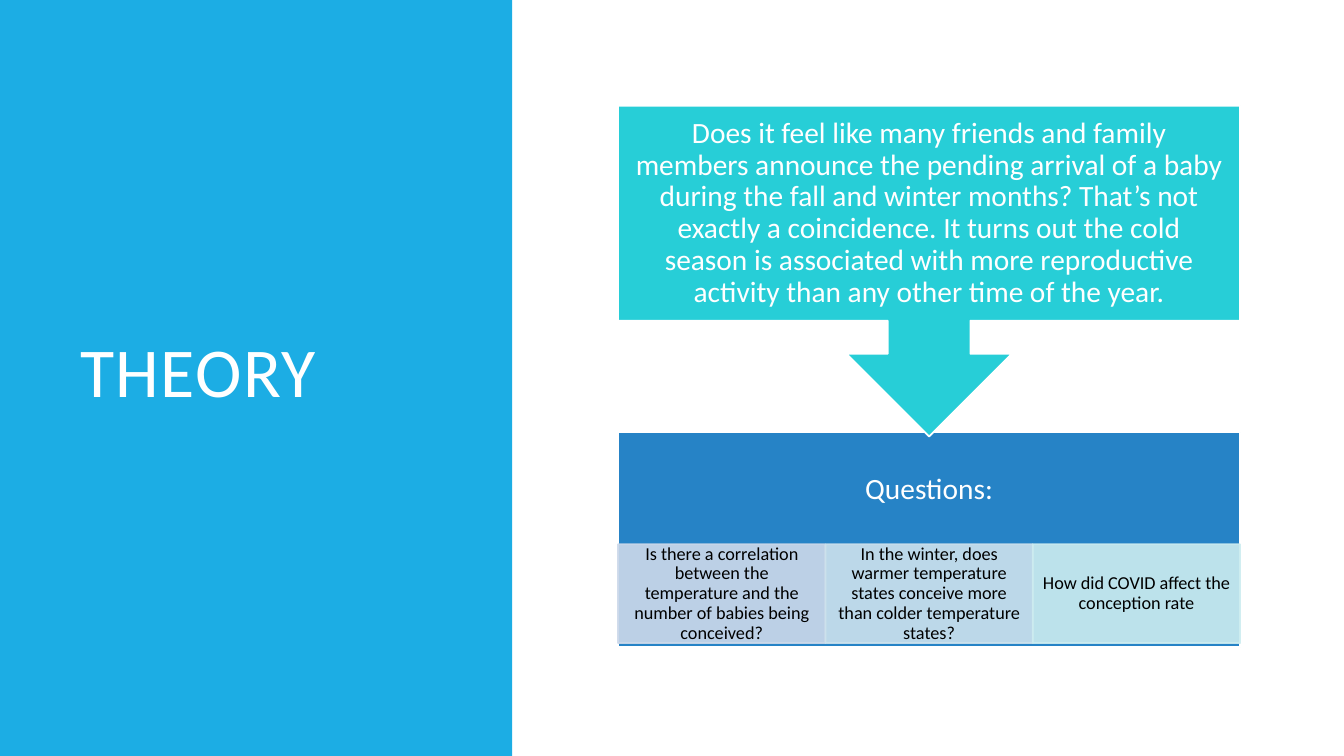
from lxml import etree
from pptx import Presentation
from pptx.dml.color import RGBColor
from pptx.enum.shapes import MSO_SHAPE as SHAPE
from pptx.enum.text import MSO_ANCHOR as ANCHOR, PP_ALIGN as ALIGN
from pptx.oxml.ns import qn
from pptx.util import Inches, Pt

FONT = "Calibri"
COLORS = {
    "panel": "1CADE4",
    "callout": "27CED7",
    "questions": "2683C6",
    "white": "FFFFFF",
    "black": "000000",
}
CALLOUT = (
    "Does it feel like many friends and family members announce the pending "
    "arrival of a baby during the fall and winter months? That’s not exactly a "
    "coincidence. It turns out the cold season is associated with more "
    "reproductive activity than any other time of the year."
)
QUESTIONS = [
    ("Is there a correlation between the temperature and the number of babies "
     "being conceived?", "CDD9EA"),
    ("In the winter, does warmer temperature states conceive more than colder "
     "temperature states?", "CDE2ED"),
    ("How did COVID affect the conception rate", "CDEDF0"),
]


def rgb(color):
    return RGBColor.from_string(color)


def add_block(s, kind, box, fill, line=None, opacity=100):
    sp = s.shapes.add_shape(kind, *map(Inches, box))
    sp.shadow.inherit = False
    sp.fill.solid()
    sp.fill.fore_color.rgb = rgb(fill)
    if line:
        sp.line.color.rgb = rgb(line)
        sp.line.width = Pt(1.25)
    else:
        sp.line.fill.background()
    if opacity < 100:
        for clr in sp._element.spPr.iter(qn("a:srgbClr")):
            etree.SubElement(clr, qn("a:alpha"), val=str(opacity * 1000))
    return sp


def write(sp, text, size, color, insets, align=ALIGN.CENTER, spacing=0.9):
    """Fill a shape with one paragraph; insets are left, top, right, bottom."""
    tf = sp.text_frame
    tf.word_wrap = True
    tf.vertical_anchor = ANCHOR.MIDDLE
    tf.margin_left, tf.margin_top, tf.margin_right, tf.margin_bottom = map(
        Inches, insets)
    tf.text = text
    p = tf.paragraphs[0]
    p.alignment = align
    p.line_spacing = spacing
    r = p.runs[0]
    r.font.name = FONT
    r.font.size = Pt(size)
    r.font.color.rgb = rgb(color)
    return r


def add_title_panel(s, x, y, w, h):
    add_block(s, SHAPE.RECTANGLE, (x, y, w, h), COLORS["panel"])
    title = s.shapes.add_textbox(
        *map(Inches, (x + 0.7, y + 0.7, w - 1.34, h - 1.41)))
    r = write(title, "THEORY", 50, COLORS["white"], (0.1, 0.05, 0.1, 0.05),
              ALIGN.LEFT, 0.8)
    r.font._element.set("spc", "100")


def add_questions(s, x, y, w, h):
    """Block with a heading above a row of equal question tiles."""
    heading_h, tile_top, tile_h = 1.15, 1.11, 0.98
    block = add_block(s, SHAPE.RECTANGLE, (x, y, w, h),
                      COLORS["questions"], COLORS["white"])
    write(block, "Questions:", 21, COLORS["white"],
          (0.16, 0.16, 0.16, h - heading_h + 0.16))
    tile_w = w / len(QUESTIONS)
    for i, (question, fill) in enumerate(QUESTIONS):
        tile = add_block(s, SHAPE.RECTANGLE,
                         (x + i * tile_w, y + tile_top, tile_w, tile_h),
                         fill, fill, 90)
        write(tile, question, 13, COLORS["black"], (0.1, 0.02, 0.1, 0.02))


def add_callout(s, x, y, w, h):
    sp = add_block(s, SHAPE.DOWN_ARROW_CALLOUT, (x, y, w, h),
                   COLORS["callout"], COLORS["white"])
    write(sp, CALLOUT, 21, COLORS["white"], (0.16,) * 4)


def main():
    prs = Presentation()
    prs.slide_width, prs.slide_height = Inches(13.33), Inches(7.5)
    s = prs.slides.add_slide(prs.slide_layouts[6])
    add_title_panel(s, 0, 0, 5.08, 7.5)
    add_questions(s, 6.13, 4.29, 6.17, 2.13)
    add_callout(s, 6.13, 1.05, 6.17, 3.28)
    prs.save("out.pptx")


if __name__ == "__main__":
    main()
